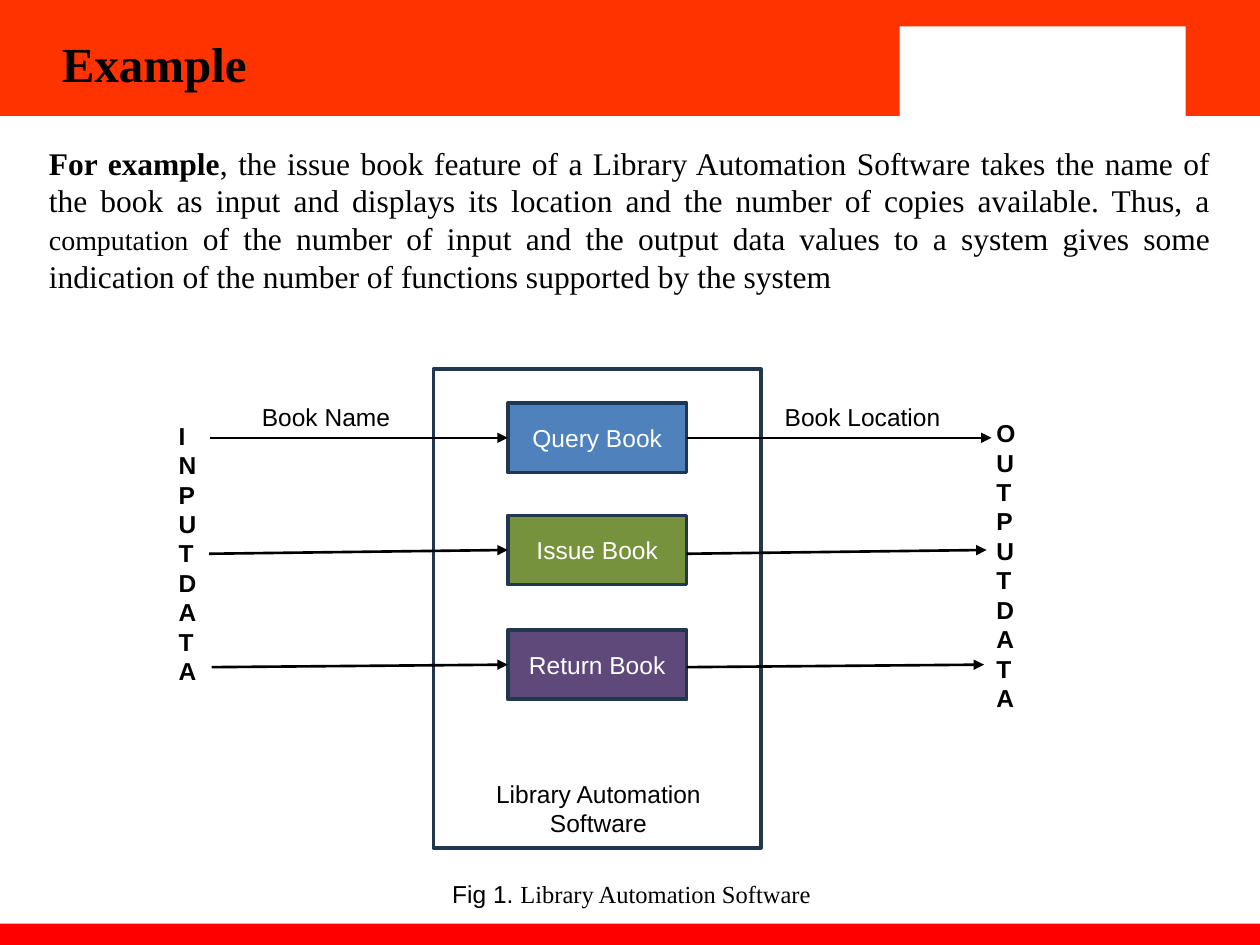
from dataclasses import dataclass

from lxml.etree import SubElement
from pptx import Presentation
from pptx.dml.color import RGBColor
from pptx.enum.shapes import MSO_CONNECTOR as Connector, MSO_SHAPE as Shape
from pptx.enum.text import MSO_ANCHOR as Anchor, MSO_AUTO_SIZE as AutoSize, PP_ALIGN as Align
from pptx.oxml.ns import qn
from pptx.util import Inches, Pt


@dataclass(frozen=True)
class Theme:
    """Colours, fonts and type sizes of the slide."""
    header: str = "FF3300"
    footer: str = "FF0000"
    paper: str = "FFFFFF"
    ink: str = "000000"
    outline: str = "21364F"
    query: str = "4F81BD"
    issue: str = "76923C"
    returns: str = "5F497A"
    serif: str = "Times New Roman"
    sans: str = "Arial"
    title: int = 28
    body: int = 18
    small_body: int = 16
    label: int = 14


@dataclass(frozen=True)
class Box:
    """A region measured in inches."""
    left: float
    top: float
    width: float
    height: float

    def inner(self, left, top, width, height):
        """Return a box offset from this box's corner."""
        return Box(self.left + left, self.top + top, width, height)

    def lengths(self):
        """Return the position and size as lengths."""
        return [Inches(value) for value in (self.left, self.top, self.width, self.height)]


THEME = Theme()


def add_run(paragraph, text, size=THEME.label, font=THEME.sans, color=THEME.ink, bold=False):
    """Add one formatted run to a paragraph."""
    run = paragraph.add_run()
    run.text = text
    run.font.size = Pt(size)
    run.font.name = font
    run.font.bold = bold
    run.font.color.rgb = RGBColor.from_string(color)


def add_text(slide, box, align=Align.LEFT):
    """Add a wrapping text box and return its paragraph."""
    frame = slide.shapes.add_textbox(*box.lengths()).text_frame
    frame.word_wrap = True
    paragraph = frame.paragraphs[0]
    paragraph.alignment = align
    return paragraph


def add_rectangle(slide, box, fill, line=None):
    """Add a flat rectangle with an optional outline."""
    shape = slide.shapes.add_shape(Shape.RECTANGLE, *box.lengths())
    shape.shadow.inherit = False
    shape.fill.solid()
    shape.fill.fore_color.rgb = RGBColor.from_string(fill)
    if line:
        shape.line.color.rgb = RGBColor.from_string(line)
        shape.line.width = Pt(2)
    else:
        shape.line.fill.background()
    return shape


def add_arrow(slide, start, end):
    """Add an arrow between two points in inches."""
    points = [Inches(value) for value in (*start, *end)]
    arrow = slide.shapes.add_connector(Connector.STRAIGHT, *points)
    arrow.line.color.rgb = RGBColor.from_string(THEME.ink)
    arrow.line.width = Pt(1.5)
    SubElement(arrow.line._get_or_add_ln(), qn("a:tailEnd"), type="triangle")
    SubElement(arrow.element.spPr, qn("a:effectLst"))
    return arrow


def add_header(slide, box):
    """Draw the header band with its white panel and title."""
    add_rectangle(slide, box, THEME.header)
    add_rectangle(slide, box.inner(7.14, 0.21, 2.27, 0.75), THEME.paper)
    title = slide.shapes.title
    title.element.getparent().append(title.element)
    title.left, title.top, title.width, title.height = box.inner(0.49, 0, 6, 1).lengths()
    frame = title.text_frame
    frame.auto_size = AutoSize.NONE
    frame.vertical_anchor = Anchor.MIDDLE
    frame.margin_left = frame.margin_top = frame.margin_right = frame.margin_bottom = 0
    frame.paragraphs[0].alignment = Align.LEFT
    add_run(frame.paragraphs[0], "Example", THEME.title, THEME.serif, bold=True)


def add_body(slide, box):
    """Write the justified explanation."""
    paragraph = add_text(slide, box, Align.JUSTIFY)
    add_run(paragraph, "For example", THEME.body, THEME.serif, bold=True)
    add_run(paragraph, ", the issue book feature of a Library Automation Software takes the name of "
            "the book as input and displays its location and the number of copies available. Thus, a ",
            THEME.body, THEME.serif)
    add_run(paragraph, "computation", THEME.small_body, THEME.serif)
    add_run(paragraph, " of the number of input and the output data values to a system gives some "
            "indication of the number of functions supported by the system", THEME.body, THEME.serif)


def add_function(slide, box, name, fill, input_left, output_right, drop):
    """Draw one function block with its input and output arrows."""
    block = add_rectangle(slide, box, fill, THEME.outline)
    block.text_frame.vertical_anchor = Anchor.MIDDLE
    paragraph = block.text_frame.paragraphs[0]
    paragraph.alignment = Align.CENTER
    add_run(paragraph, name, color=THEME.paper)
    middle = box.top + box.height / 2
    right = box.left + box.width
    incoming = add_arrow(slide, (input_left, middle + drop), (box.left, middle))
    incoming.end_connect(block, 1)
    outgoing = add_arrow(slide, (right, middle + drop), (output_right, middle))
    if not drop:
        outgoing.begin_connect(block, 3)


def add_diagram(slide, box):
    """Draw the software frame, its functions and the data labels."""
    add_rectangle(slide, box.inner(2.12, 0, 2.6, 3.8), THEME.paper, THEME.outline)
    functions = [
        ("Query Book", THEME.query, 0.27, 0.35, 6.55, 0),
        ("Issue Book", THEME.issue, 1.16, 0.34, 6.51, 0.03),
        ("Return Book", THEME.returns, 2.07, 0.36, 6.49, 0.02),
    ]
    for name, fill, top, start, end, drop in functions:
        add_function(slide, box.inner(2.71, top, 1.42, 0.55), name, fill,
                     box.left + start, box.left + end, drop)
    labels = [
        ("Library Automation Software", (2.44, 3.2, 1.98, 0.57), Align.CENTER, False),
        ("INPUT DATA", (0, 0.36, 0.33, 2.22), Align.LEFT, True),
        ("OUTPUT DATA", (6.49, 0.34, 0.33, 2.46), Align.LEFT, True),
        ("Book Name", (0.66, 0.21, 1.47, 0.34), Align.LEFT, False),
        ("Book Location", (4.81, 0.21, 1.47, 0.34), Align.LEFT, False),
    ]
    for text, place, align, bold in labels:
        add_run(add_text(slide, box.inner(*place), align), text, bold=bold)


def add_caption(slide, box):
    """Write the figure caption."""
    paragraph = add_text(slide, box)
    add_run(paragraph, "Fig 1. ")
    add_run(paragraph, "Library Automation Software", font=THEME.serif)


def main():
    """Build and save the slide."""
    presentation = Presentation()
    presentation.slide_width = Inches(10)
    presentation.slide_height = Inches(7.5)
    slide = presentation.slides.add_slide(presentation.slide_layouts[5])
    add_header(slide, Box(0, 0, 10, 0.92))
    add_rectangle(slide, Box(0, 7.33, 10, 0.17), THEME.footer)
    add_body(slide, Box(0.29, 1.09, 9.42, 1.31))
    add_diagram(slide, Box(1.32, 2.93, 6.82, 3.8))
    add_caption(slide, Box(3.49, 6.93, 3.08, 0.34))
    presentation.save("out.pptx")


if __name__ == "__main__":
    main()
